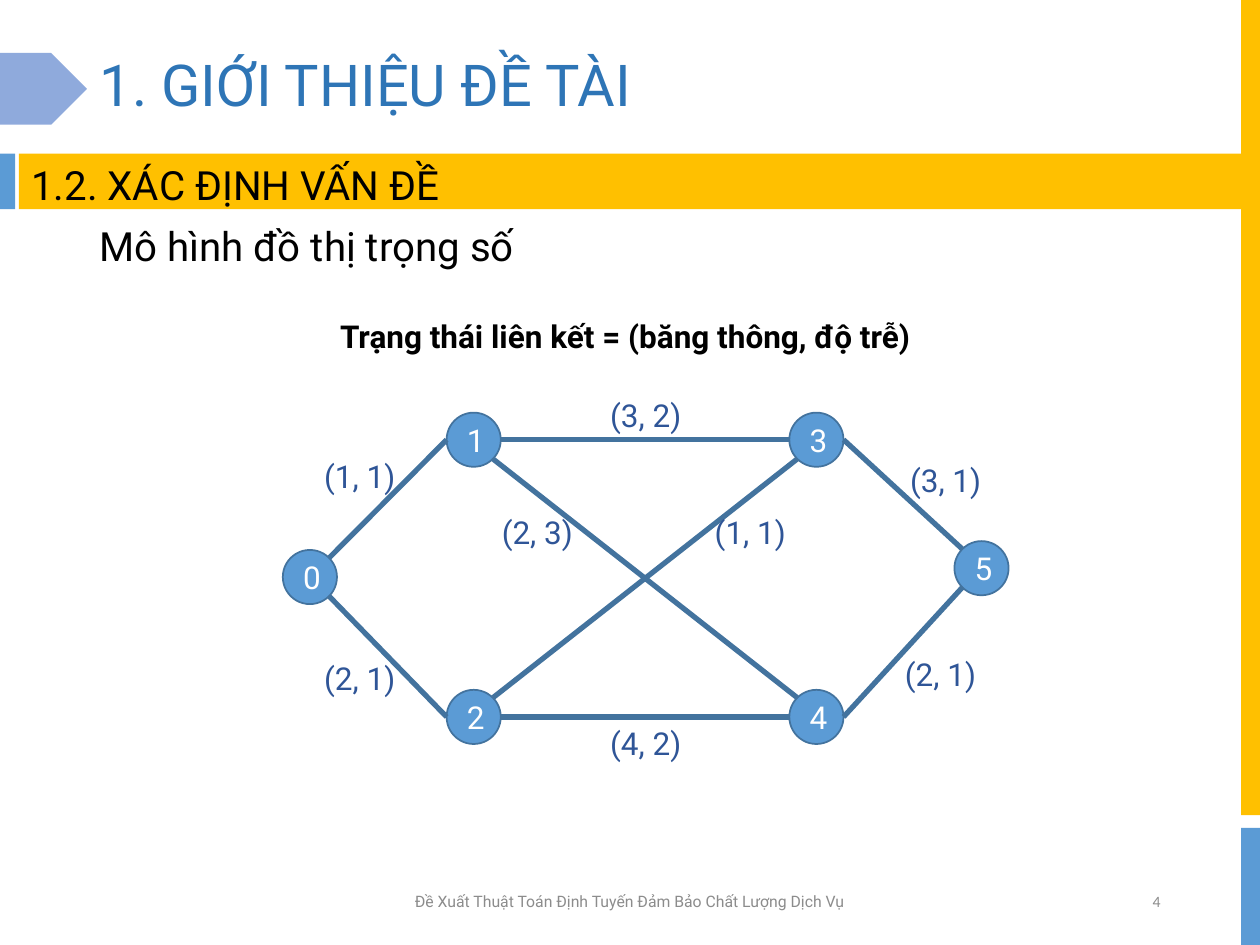
"""Builds a slide that shows a weighted graph of network links."""
from lxml import etree
from pptx import Presentation
from pptx.dml.color import RGBColor
from pptx.enum.shapes import MSO_CONNECTOR, MSO_SHAPE
from pptx.enum.text import MSO_ANCHOR, MSO_AUTO_SIZE, PP_ALIGN
from pptx.oxml.ns import qn
from pptx.util import Inches, Pt

LEFT, MID, RIGHT = PP_ALIGN.LEFT, PP_ALIGN.CENTER, PP_ALIGN.RIGHT
TOP, CENTER = MSO_ANCHOR.TOP, MSO_ANCHOR.MIDDLE
NO_FIT = MSO_AUTO_SIZE.NONE
RECT, OVAL, TAG = MSO_SHAPE.RECTANGLE, MSO_SHAPE.OVAL, MSO_SHAPE.PENTAGON
STRAIGHT = MSO_CONNECTOR.STRAIGHT

GOLD = RGBColor(0xFF, 0xC0, 0x00)
BLUE = RGBColor(0x5B, 0x9B, 0xD5)
PALE = RGBColor(0x8F, 0xAA, 0xDC)
EDGE = RGBColor(0x43, 0x73, 0x9E)
NAVY = RGBColor(0x2F, 0x55, 0x97)
HEAD = RGBColor(0x2E, 0x75, 0xB6)
GREY = RGBColor(0x8C, 0x8C, 0x8C)
BLACK = RGBColor(0x00, 0x00, 0x00)
WHITE = RGBColor(0xFF, 0xFF, 0xFF)


def write(shape, text, size, color, align=LEFT, anchor=TOP, bold=False, font="Roboto"):
    frame = shape.text_frame
    frame.text = text
    frame.word_wrap = True
    frame.auto_size = NO_FIT
    frame.vertical_anchor = anchor
    para = frame.paragraphs[0]
    para.alignment = align
    face = para.runs[0].font
    face.name, face.size, face.bold = font, Pt(size), bold
    face.color.rgb = color


def draw(kind, box, fill):
    shape = slide.shapes.add_shape(kind, *map(Inches, box))
    shape.shadow.inherit = False
    shape.fill.solid()
    shape.fill.fore_color.rgb = fill
    shape.line.fill.background()
    return shape


prs = Presentation()
prs.slide_width, prs.slide_height = Inches(10), Inches(7.5)
slide = prs.slides.add_slide(prs.slide_layouts[5])

for kind, box, fill in (
    (TAG, (0, 0.42, 0.69, 0.57), PALE),
    (RECT, (9.85, 0, 0.15, 6.47), GOLD),
    (RECT, (9.85, 6.57, 0.15, 0.93), BLUE),
    (RECT, (0.15, 1.22, 9.7, 0.44), GOLD),
    (RECT, (-0.02, 1.22, 0.14, 0.44), BLUE),
):
    draw(kind, box, fill)

title = slide.shapes.title
title.left, title.top = Inches(0.69), Inches(0.19)
title.width, title.height = Inches(8.62), Inches(1.01)
write(title, "1. GIỚI THIỆU ĐỀ TÀI", 33, HEAD, anchor=CENTER)
title.text_frame.paragraphs[0].line_spacing = 0.9

SIZE = 0.43
RADIUS = SIZE / 2
DIAG = 0.71
nodes = [(2.46, 4.58), (3.76, 3.49), (3.76, 5.69),
         (6.48, 3.49), (6.48, 5.69), (7.79, 4.51)]
for name, (x, y) in enumerate(nodes):
    node = draw(OVAL, (x - RADIUS, y - RADIUS, SIZE, SIZE), BLUE)
    node.line.color.rgb = EDGE
    node.line.width = Pt(1)
    write(node, str(name), 18, WHITE, MID, CENTER)

links = [
    (0, (DIAG, -DIAG), 1, (-1, 0), "(1, 1)", (2.45, 3.58)),
    (0, (DIAG, DIAG), 2, (-1, 0), "(2, 1)", (2.45, 5.18)),
    (1, (1, 0), 3, (-1, 0), "(3, 2)", (4.72, 3.09)),
    (2, (1, 0), 4, (-1, 0), "(4, 2)", (4.72, 5.7)),
    (1, (DIAG, DIAG), 4, (-DIAG, -DIAG), "(2, 3)", (3.86, 4.02)),
    (2, (DIAG, -DIAG), 3, (-DIAG, DIAG), "(1, 1)", (5.55, 4.02)),
    (3, (1, 0), 5, (-DIAG, -DIAG), "(3, 1)", (7.1, 3.61)),
    (4, (1, 0), 5, (-DIAG, DIAG), "(2, 1)", (7.06, 5.15)),
]
for start, out, end, into, cost, spot in links:
    ends = [Inches(mid + RADIUS * step)
            for node, side in ((start, out), (end, into))
            for mid, step in zip(nodes[node], side)]
    link = slide.shapes.add_connector(STRAIGHT, *ends)
    link.line.color.rgb = EDGE
    link.line.width = Pt(3)
    etree.SubElement(link._element.spPr, qn("a:effectLst"))

for start, out, end, into, cost, spot in links:
    label = slide.shapes.add_textbox(*map(Inches, (*spot, 0.81, 0.4)))
    write(label, cost, 18, NAVY, MID)

for text, box, size, color, style in (
    ("Trạng thái liên kết = (băng thông, độ trễ)", (2.6, 2.47, 5.09, 0.4), 18, BLACK,
     {"bold": True}),
    ("4", (7.06, 6.95, 2.25, 0.4), 9, GREY,
     {"align": RIGHT, "anchor": CENTER, "font": "Calibri"}),
    ("Đề Xuất Thuật Toán Định Tuyến Đảm Bảo Chất Lượng Dịch Vụ",
     (3.12, 6.95, 3.75, 0.4), 9, GREY, {"align": MID, "anchor": CENTER}),
    ("Mô hình đồ thị trọng số", (0.69, 1.71, 3.94, 0.49), 23, BLACK, {}),
    ("1.2. XÁC ĐỊNH VẤN ĐỀ", (0.15, 1.22, 4.67, 0.49), 23, BLACK, {}),
):
    write(slide.shapes.add_textbox(*map(Inches, box)), text, size, color, **style)

prs.save("out.pptx")
